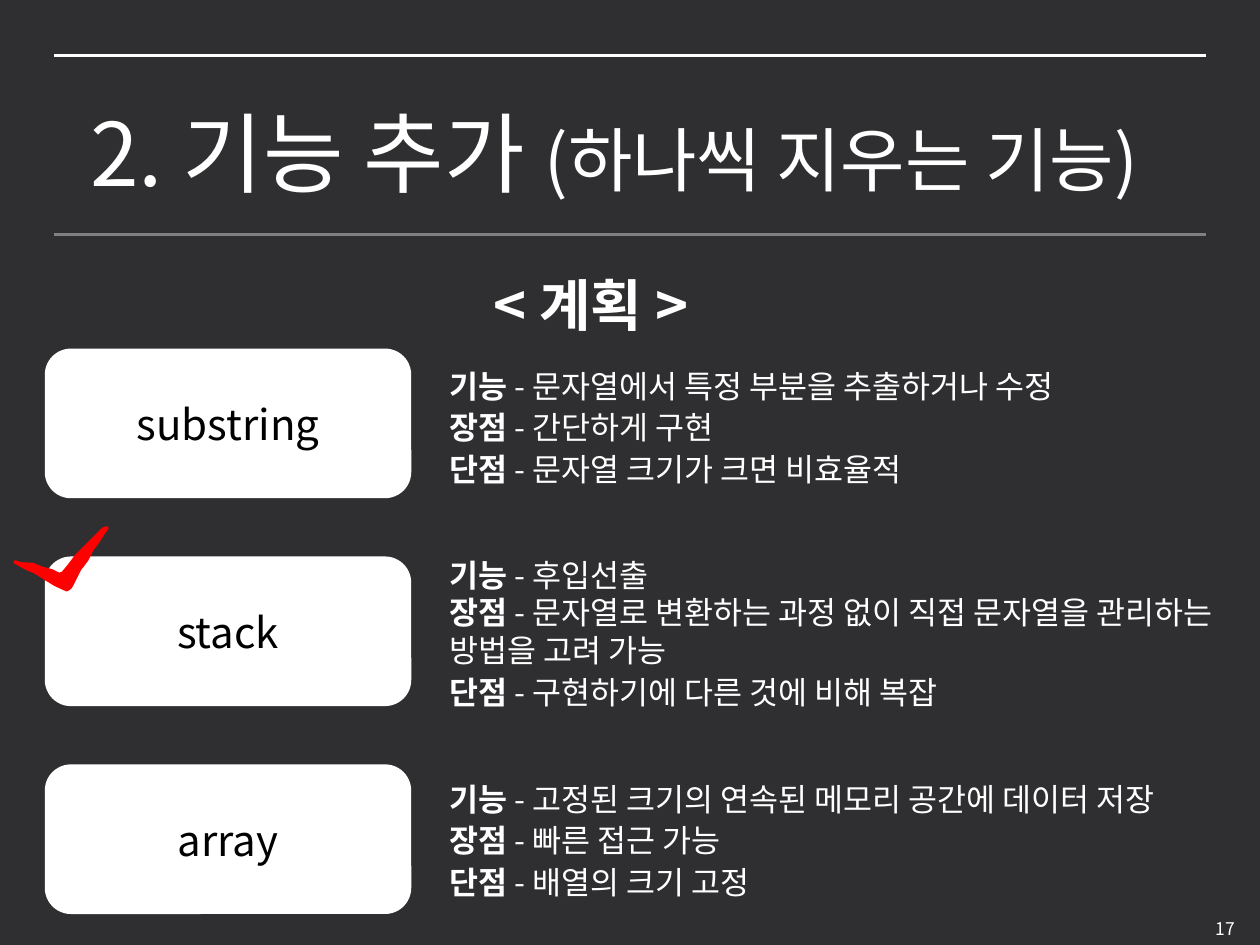
"""Build the slide that compares three ways to add a delete-one-character feature."""
from dataclasses import dataclass

from lxml.etree import SubElement
from pptx import Presentation
from pptx.dml.color import RGBColor
from pptx.enum.shapes import MSO_CONNECTOR as Connector, MSO_SHAPE as Preset
from pptx.enum.text import MSO_ANCHOR as Anchor, MSO_AUTO_SIZE as AutoSize, PP_ALIGN as Align
from pptx.oxml.ns import qn
from pptx.slide import Slide
from pptx.text.text import TextFrame, _Paragraph as Paragraph
from pptx.util import Pt


@dataclass(frozen=True)
class Theme:
    font: str = "Noto Sans CJK KR"
    ground: RGBColor = RGBColor(0x2F, 0x2F, 0x31)
    light: RGBColor = RGBColor(0xFF, 0xFF, 0xFF)
    dark: RGBColor = RGBColor(0, 0, 0)
    grey: RGBColor = RGBColor(0x80, 0x80, 0x80)
    check: RGBColor = RGBColor(0xFF, 0, 0)
    title: float = 50
    subtitle: float = 40
    heading: float = 32
    label: float = 24
    detail: float = 18
    page: float = 10


@dataclass(frozen=True)
class Rule:
    y: float
    color: RGBColor


@dataclass(frozen=True)
class Detail:
    term: str
    text: str
    spacing: float = 1.1


@dataclass(frozen=True)
class Option:
    name: str
    details_top: float
    details_height: float
    details: tuple[Detail, ...]


THEME = Theme()
RULES = (Rule(133.9, THEME.grey), Rule(31.7, THEME.light))
OPTIONS = (
    Option("substring", 203.8, 77.8, (
        Detail("기능", "문자열에서 특정 부분을 추출하거나 수정"),
        Detail("장점", "간단하게 구현"),
        Detail("단점", "문자열 크기가 크면 비효율적"),
    )),
    Option("stack", 311.8, 97.2, (
        Detail("기능", "후입선출"),
        Detail("장점", "문자열로 변환하는 과정 없이 직접 문자열을 관리하는 방법을 고려 가능", 1.0),
        Detail("단점", "구현하기에 다른 것에 비해 복잡"),
    )),
    Option("array", 439.9, 78.5, (
        Detail("기능", "고정된 크기의 연속된 메모리 공간에 데이터 저장"),
        Detail("장점", "빠른 접근 가능"),
        Detail("단점", "배열의 크기 고정"),
    )),
)
CARD_TOP, CARD_PITCH = 200.2, 118.8
CHECK_OUTLINE = (
    (8.6, 321.1), (15.1, 324.7), (20.2, 326.9), (25.9, 330.5), (31.7, 334),
    (38.2, 337), (40.3, 335.5), (41.8, 332.6), (45.4, 325.4), (49.7, 319.7),
    (52.6, 313.9), (55.4, 310.3), (59, 304.6), (61.2, 301.7), (59, 302.4),
    (55.4, 306), (51.1, 310.3), (47.5, 313.9), (43.9, 317.5), (39.6, 323.3),
    (36, 327.6), (33.8, 328.3), (29.5, 326.2), (23.8, 324.7), (18.7, 322.6),
    (11.5, 322.2),
)


def style(paragraph: Paragraph, size: float, color: RGBColor = THEME.light) -> None:
    """Set the shared font of a paragraph, for Latin and Korean letters."""
    font = paragraph.font
    font.size, font.name = Pt(size), THEME.font
    font.color.rgb = color
    defaults = paragraph._p.get_or_add_pPr().find(qn("a:defRPr"))
    SubElement(defaults, qn("a:ea")).set("typeface", THEME.font)


def add_text(slide: Slide, left: float, top: float, width: float, height: float) -> TextFrame:
    """Add an empty wrapping text box that grows with its text."""
    frame = slide.shapes.add_textbox(Pt(left), Pt(top), Pt(width), Pt(height)).text_frame
    frame.word_wrap = True
    frame.auto_size = AutoSize.SHAPE_TO_FIT_TEXT
    return frame


def paint(shape, color: RGBColor) -> None:
    """Give a shape one colour for fill and outline, and no shadow."""
    shape.shadow.inherit = False
    shape.fill.solid()
    shape.fill.fore_color.rgb = color
    shape.line.color.rgb = color
    shape.line.width = Pt(2)


def add_rule(slide: Slide, rule: Rule) -> None:
    """Draw a horizontal rule around the title."""
    line = slide.shapes.add_connector(
        Connector.STRAIGHT, Pt(31), Pt(rule.y), Pt(689), Pt(rule.y))
    line.line.color.rgb = rule.color
    line.line.width = Pt(1.5)
    SubElement(line._element.spPr, qn("a:effectLst"))


def add_title(slide: Slide) -> None:
    """Write the title with its smaller second part."""
    title = add_text(slide, 44.6, 53.3, 717.8, 67).paragraphs[0]
    style(title, THEME.title)
    title.add_run().text = "2. 기능 추가 "
    feature = title.add_run()
    feature.text = "(하나씩 지우는 기능)"
    feature.font.size = Pt(THEME.subtitle)


def add_card(slide: Slide, option: Option, top: float) -> None:
    """Draw the rounded card that names an option."""
    card = slide.shapes.add_shape(
        Preset.ROUNDED_RECTANGLE, Pt(26.6), Pt(top), Pt(207.4), Pt(83.5))
    paint(card, THEME.light)
    card.text_frame.vertical_anchor = Anchor.MIDDLE
    name = card.text_frame.paragraphs[0]
    name.text = option.name
    name.alignment = Align.CENTER
    style(name, THEME.label, THEME.dark)


def add_details(slide: Slide, option: Option) -> None:
    """Write the function, strength and weakness of an option."""
    frame = add_text(slide, 249.8, option.details_top, 470.2, option.details_height)
    for index, detail in enumerate(option.details):
        row = frame.add_paragraph() if index else frame.paragraphs[0]
        row.line_spacing = detail.spacing
        style(row, THEME.detail)
        term = row.add_run()
        term.text = f"{detail.term} "
        term.font.bold = True
        row.add_run().text = f"- {detail.text}"


def add_check(slide: Slide) -> None:
    """Draw the check mark on the chosen option."""
    start, *rest = [(Pt(x), Pt(y)) for x, y in CHECK_OUTLINE]
    builder = slide.shapes.build_freeform(*start)
    builder.add_line_segments(rest, close=True)
    paint(builder.convert_to_shape(), THEME.check)


def main() -> None:
    """Build and save the slide."""
    deck = Presentation()
    deck.slide_width, deck.slide_height = Pt(720), Pt(540)
    slide = deck.slides.add_slide(deck.slide_layouts[6])
    slide.background.fill.solid()
    slide.background.fill.fore_color.rgb = THEME.ground

    for rule in RULES:
        add_rule(slide, rule)
    add_title(slide)

    page = add_text(slide, 687.6, 521.3, 32.4, 18.7).paragraphs[0]
    page.text = "17"
    style(page, THEME.page)

    for index, option in enumerate(OPTIONS):
        add_card(slide, option, CARD_TOP + index * CARD_PITCH)
        add_details(slide, option)
    add_check(slide)

    plan = add_text(slide, 275, 151.2, 151.2, 45.4).paragraphs[0]
    plan.text = "< 계획 >"
    style(plan, THEME.heading)
    plan.font.bold = True

    deck.save("out.pptx")


if __name__ == "__main__":
    main()
